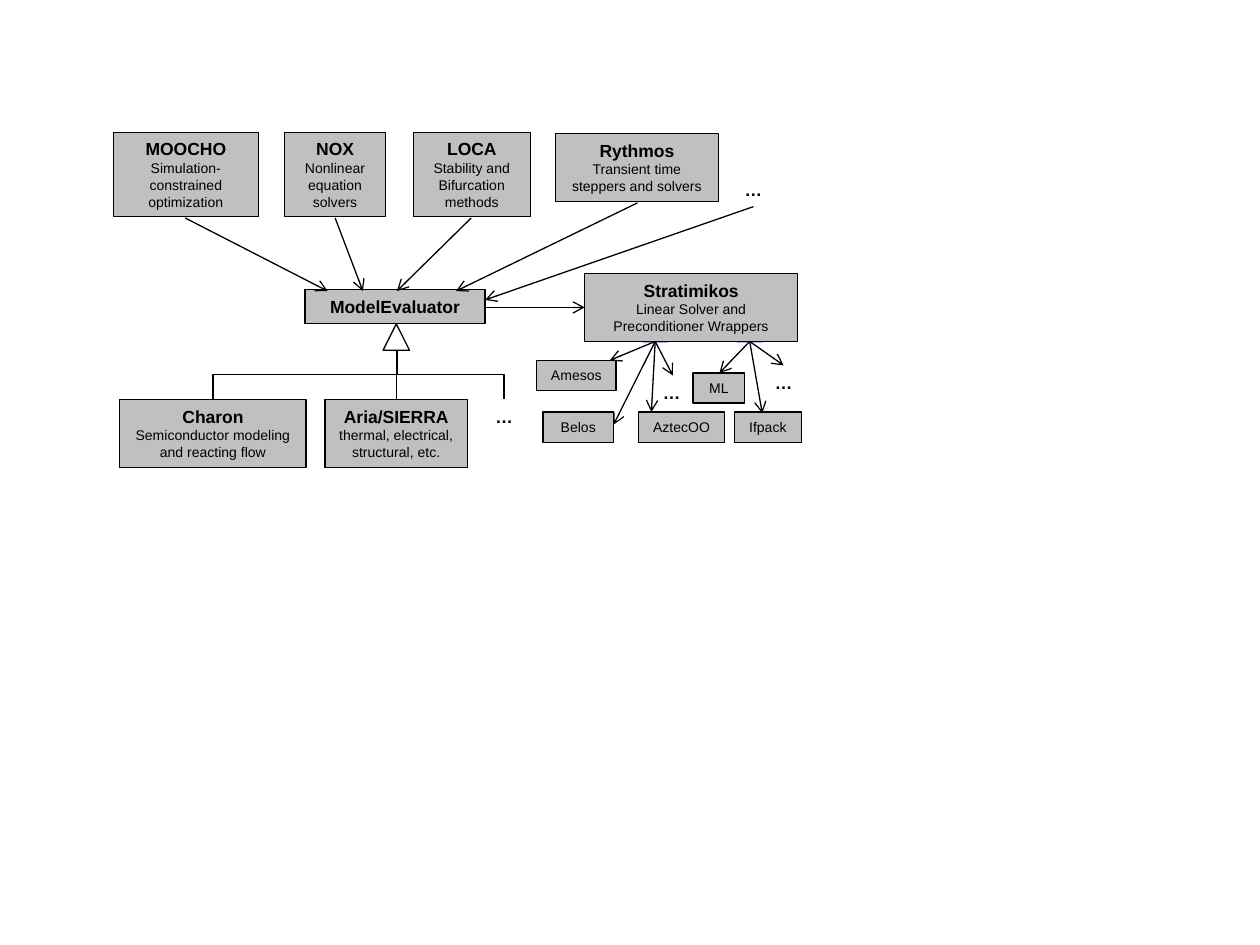
from pptx import Presentation
from pptx.dml.color import RGBColor
from pptx.enum.shapes import MSO_CONNECTOR, MSO_SHAPE
from pptx.enum.text import MSO_ANCHOR, MSO_AUTO_SIZE, PP_ALIGN
from pptx.oxml.ns import qn
from pptx.util import Inches, Pt
from lxml import etree

RECT, PEAK = MSO_SHAPE.RECTANGLE, MSO_SHAPE.ISOSCELES_TRIANGLE
LINE, ELBOW = MSO_CONNECTOR.STRAIGHT, MSO_CONNECTOR.ELBOW
TOP, CENTER = MSO_ANCHOR.TOP, PP_ALIGN.CENTER
GROW = MSO_AUTO_SIZE.SHAPE_TO_FIT_TEXT

BLACK = RGBColor(0x00, 0x00, 0x00)
WHITE = RGBColor(0xFF, 0xFF, 0xFF)
GRAY = RGBColor(0xC0, 0xC0, 0xC0)
BLUE = RGBColor(0x61, 0x8F, 0xFD)

COLS, ROWS = 100, 75
CELL = Inches(0.1)
FONT = "Arial"
STROKE = Pt(0.75)
HEAD, BODY = Pt(10), Pt(8)

SOLVERS = [
    (9, 10.5, 11.5, 6.7, "MOOCHO", "Simulation-constrained optimization"),
    (22.6, 10.5, 8, 6.7, "NOX", "Nonlinear equation solvers"),
    (32.8, 10.5, 9.3, 6.7, "LOCA", "Stability and Bifurcation methods"),
    (44.1, 10.6, 12.9, 5.4, "Rythmos", "Transient time steppers and solvers"),
]
MODELS = [
    (9.5, 31.7, 14.8, 5.4, "Charon", "Semiconductor modeling and reacting flow"),
    (25.8, 31.7, 11.3, 5.4, "Aria/SIERRA", "thermal, electrical, structural, etc."),
]
HUBS = [
    (46.4, 21.7, 16.9, 5.4, "Stratimikos", "Linear Solver and Preconditioner Wrappers"),
    (24.2, 23, 14.3, 2.7, "ModelEvaluator"),
]
TOOLS = [
    (42.6, 28.6, 6.3, "Amesos"),
    (43.1, 32.7, 5.6, "Belos"),
    (50.7, 32.7, 6.8, "AztecOO"),
    (55, 29.6, 4.1, "ML"),
    (58.3, 32.7, 5.3, "Ifpack"),
]
DOTS = [(51.6, 29.8), (38.3, 31.7), (58.1, 13.7), (60.5, 29)]
PORTS = [51, 58.5]
CALLS = [
    (14.7, 17.3, 26, 23.1),
    (26.6, 17.3, 28.8, 23.1),
    (37.4, 17.3, 31.5, 23.1),
    (50.6, 16.1, 36.2, 23.1),
    (59.8, 16.4, 38.5, 23.8),
]
FANS = [
    (52, [(48.4, 28.6), (48.7, 33.7), (51.7, 32.7), (53.4, 29.8)]),
    (59.5, [(57.1, 29.6), (60.5, 32.8), (62.2, 29)]),
]
ROOT = (31.5, 27.8)
FLOOR = 31.7
LEAVES = [16.9, 31.5, 40]


def grid(*cells):
    return [round(cell * CELL) for cell in cells]


def block(slide, kind, place, fill, edge=True):
    shape = slide.shapes.add_shape(kind, *grid(*place))
    shape.shadow.inherit = False
    shape.fill.solid()
    shape.fill.fore_color.rgb = fill
    if edge:
        shape.line.color.rgb = BLACK
        shape.line.width = STROKE
    else:
        shape.line.fill.background()
    return shape


def label(shape, lines):
    frame = shape.text_frame
    frame.text = "\n".join(text for text, size, bold in lines)
    frame.word_wrap = True
    frame.auto_size = GROW
    frame.vertical_anchor = TOP
    for para, (text, size, bold) in zip(frame.paragraphs, lines):
        para.alignment = CENTER
        font = para.runs[0].font
        font.name, font.size, font.bold = FONT, size, bold
        font.color.rgb = BLACK


def card(slide, left, top, width, height, title, detail=None):
    lines = [(title, HEAD, True)]
    if detail:
        lines.append((detail, BODY, False))
    label(block(slide, RECT, (left, top, width, height), GRAY), lines)


def tool(slide, left, top, width, name):
    shape = block(slide, RECT, (left, top, width, 2.4), GRAY)
    label(shape, [(name, BODY, False)])


def dots(slide, left, top):
    shape = block(slide, RECT, (left, top, 3.4, 2.7), WHITE, edge=False)
    label(shape, [("…", HEAD, True)])


def link(slide, kind, ends, arrow=True):
    line = slide.shapes.add_connector(kind, *grid(*ends))
    line.line.color.rgb = BLACK
    line.line.width = STROKE
    props = line._element.spPr
    if arrow:
        tail = etree.SubElement(props.find(qn("a:ln")), qn("a:tailEnd"))
        tail.set("type", "arrow")
    etree.SubElement(props, qn("a:effectLst"))
    return line


def branch(slide, leaf):
    x, y = ROOT
    drop, span = FLOOR - y, abs(leaf - x)
    left = (x + leaf - drop) / 2
    top = (y + FLOOR - span) / 2
    sides = (left, left + drop)
    start, end = sides if leaf < x else sides[::-1]
    line = link(slide, ELBOW, (start, top, end, top + span), arrow=False)
    turn = 90 if leaf < x else 270
    line._element.spPr.find(qn("a:xfrm")).set("rot", str(turn * 60000))


def main():
    deck = Presentation()
    deck.slide_width, deck.slide_height = grid(COLS, ROWS)
    slide = deck.slides.add_slide(deck.slide_layouts[6])

    for left in PORTS:
        block(slide, RECT, (left, 25.8, 2, 1.4), BLUE, edge=False)
    for place in DOTS:
        dots(slide, *place)
    for item in SOLVERS + MODELS + HUBS:
        card(slide, *item)
    for item in TOOLS:
        tool(slide, *item)

    block(slide, PEAK, (30.4, 25.7, 2.1, 2.1), WHITE)
    for leaf in LEAVES:
        branch(slide, leaf)
    for ends in CALLS:
        link(slide, LINE, ends)
    for x, goals in FANS:
        for goal in goals:
            link(slide, LINE, (x, 27.1, *goal))
    link(slide, ELBOW, (38.5, 24.4, 46.4, 24.4))

    deck.save("out.pptx")


if __name__ == "__main__":
    main()
